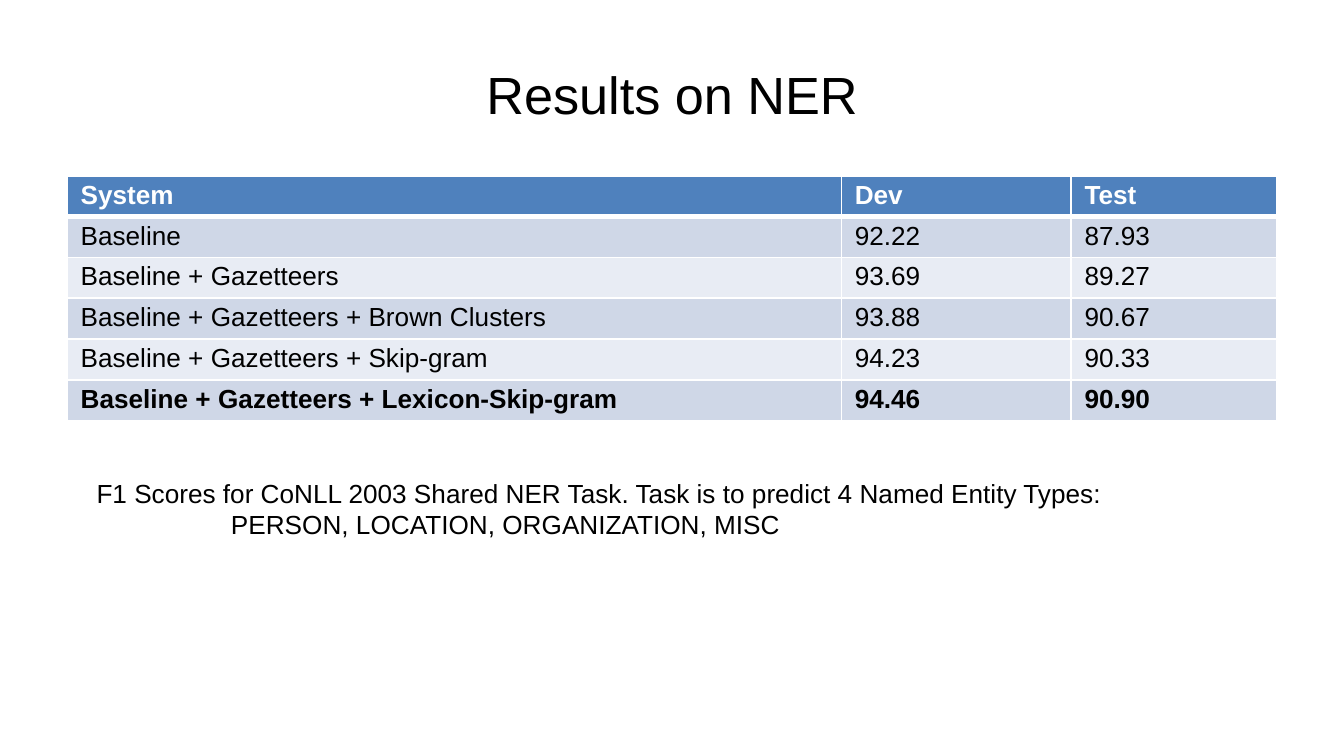
from lxml import etree
from pptx import Presentation
from pptx.dml.color import RGBColor
from pptx.enum.text import MSO_ANCHOR, PP_ALIGN
from pptx.oxml.ns import qn
from pptx.util import Inches, Pt

LEFT, CENTER = PP_ALIGN.LEFT, PP_ALIGN.CENTER
TOP, MIDDLE = MSO_ANCHOR.TOP, MSO_ANCHOR.MIDDLE

BLACK = RGBColor(0x00, 0x00, 0x00)
WHITE = RGBColor(0xFF, 0xFF, 0xFF)
HEADER_BLUE = RGBColor(0x4F, 0x81, 0xBD)
BAND_DARK = RGBColor(0xCF, 0xD7, 0xE7)
BAND_LIGHT = RGBColor(0xE8, 0xEC, 0xF4)

FONT = "Arial"
UNIT = Inches(0.1)  # one grid column or row
COLUMNS = 100
ROWS = COLUMNS * 9 / 16

# Boxes as left, top, width, height in grid units
TITLE_BOX = (5, 2.3, 90, 9.4)
TABLE_BOX = (5, 13.1, 90, 18)
NOTE_BOX = (6.2, 35, 87.7, 5.3)
COLUMN_SHARES = (0.64, 0.19, 0.17)

RESULTS = [
    ("System", "Dev", "Test"),
    ("Baseline", "92.22", "87.93"),
    ("Baseline + Gazetteers", "93.69", "89.27"),
    ("Baseline + Gazetteers + Brown Clusters", "93.88", "90.67"),
    ("Baseline + Gazetteers + Skip-gram", "94.23", "90.33"),
    ("Baseline + Gazetteers + Lexicon-Skip-gram", "94.46", "90.90"),
]
NOTE_LINES = [
    "F1 Scores for CoNLL 2003 Shared NER Task. Task is to predict 4 Named Entity Types:",
    "PERSON, LOCATION, ORGANIZATION, MISC",
]


def grid(box):
    return [int(length * UNIT) for length in box]


def write(para, text, size=14, color=BLACK, bold=False, align=LEFT, indent=0):
    para.alignment = align
    if indent:
        para._p.get_or_add_pPr().set("marL", str(int(indent * UNIT)))
    span = para.add_run()
    span.text = text
    span.font.name = FONT
    span.font.size = Pt(size)
    span.font.bold = bold
    span.font.color.rgb = color


def add_text_frame(page, box, anchor=TOP):
    frame = page.shapes.add_textbox(*grid(box)).text_frame
    frame.word_wrap = True
    frame.vertical_anchor = anchor
    return frame


def set_borders(cell, bottom):
    properties = cell._tc.get_or_add_tcPr()
    widths = {"a:lnL": 1, "a:lnR": 1, "a:lnT": 1, "a:lnB": bottom}
    for position, (side, width) in enumerate(widths.items()):
        line = etree.Element(qn(side), w=str(int(Pt(width))))
        fill = etree.SubElement(line, qn("a:solidFill"))
        etree.SubElement(fill, qn("a:srgbClr"), val=str(WHITE))
        properties.insert(position, line)


# Centred heading
def add_title(page, box):
    frame = add_text_frame(page, box, MIDDLE)
    write(frame.paragraphs[0], "Results on NER", size=28, align=CENTER)


# Scores with a header row, banded rows and a bold best system
def add_results_table(page, box):
    left, top, width, height = grid(box)
    table = page.shapes.add_table(
        len(RESULTS), len(COLUMN_SHARES), left, top, width, height).table
    for column, share in zip(table.columns, COLUMN_SHARES):
        column.width = int(width * share)

    last = len(RESULTS) - 1
    for row, values in enumerate(RESULTS):
        header = row == 0
        band = BAND_DARK if row % 2 else BAND_LIGHT
        for column, value in enumerate(values):
            cell = table.cell(row, column)
            cell.margin_top = cell.margin_bottom = Pt(2.5)
            cell.fill.solid()
            cell.fill.fore_color.rgb = HEADER_BLUE if header else band
            set_borders(cell, bottom=3 if header else 1)
            write(cell.text_frame.paragraphs[0], value,
                  color=WHITE if header else BLACK, bold=row in (0, last))


# Explanation of the task below the table
def add_note(page, box):
    frame = add_text_frame(page, box)
    task, types = NOTE_LINES
    write(frame.paragraphs[0], task)
    write(frame.add_paragraph(), types, indent=10)


def main():
    deck = Presentation()
    deck.slide_width = int(COLUMNS * UNIT)
    deck.slide_height = int(ROWS * UNIT)
    page = deck.slides.add_slide(deck.slide_layouts[6])
    add_title(page, TITLE_BOX)
    add_results_table(page, TABLE_BOX)
    add_note(page, NOTE_BOX)
    deck.save("out.pptx")


if __name__ == "__main__":
    main()
